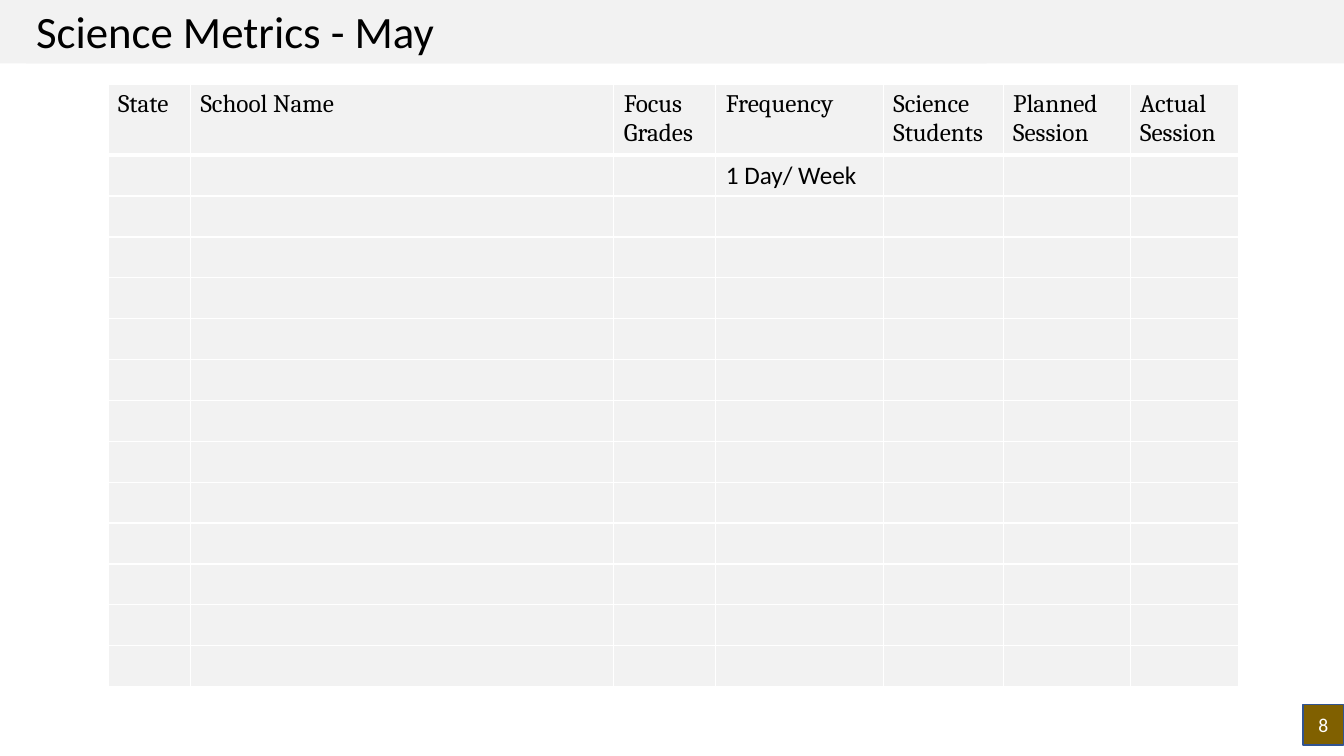
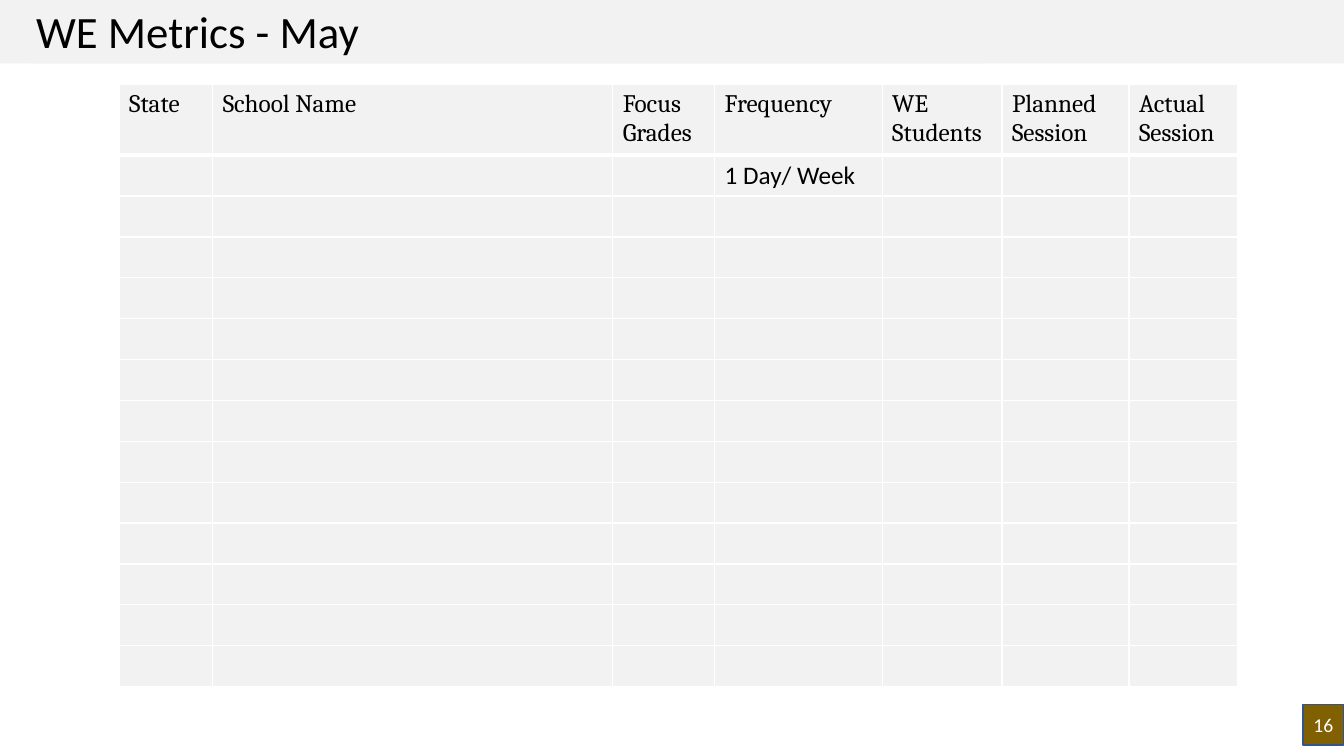
from lxml.etree import SubElement
from pptx import Presentation
from pptx.dml.color import RGBColor
from pptx.enum.shapes import MSO_SHAPE
from pptx.enum.text import MSO_ANCHOR as ANCHOR, MSO_AUTO_SIZE as AUTO, PP_ALIGN as ALIGN
from pptx.oxml.ns import qn
from pptx.util import Cm, Pt

# Shared look
GREY, WHITE, BLACK = "F2F2F2", "FFFFFF", "000000"
BROWN, NAVY = "806000", "325491"
BODY, HEAD = "Calibri", "Cambria"

# Shared table layout, in cm
STATE_TO_END = [2.57, 4.22, 3.02, 3.2, 2.74]  # columns after School Name
HEAD_H, ROW_H, BODY_ROWS = 1.78, 1.03, 13


def rgb(hex_color):
    return RGBColor.from_string(hex_color)


def write(tf, text, size=18, font=BODY, color=BLACK, align=ALIGN.LEFT):
    p = tf.paragraphs[0]
    p.alignment = align
    r = p.add_run()
    r.text = text
    r.font.size, r.font.name = Pt(size), font
    r.font.color.rgb = rgb(color)


def add_rect(shapes, x, y, w, h, fill, line=None):
    sp = shapes.add_shape(MSO_SHAPE.RECTANGLE, Cm(x), Cm(y), Cm(w), Cm(h))
    sp.shadow.inherit = False
    sp.fill.solid()
    sp.fill.fore_color.rgb = rgb(fill)
    if line:
        sp.line.color.rgb = rgb(line)
        sp.line.width = Pt(1)
    else:
        sp.line.fill.background()
    return sp


def add_title(s, text, x, y, w, h):
    shapes = s.shapes.add_group_shape().shapes
    add_rect(shapes, x, y, w, h, GREY)
    tf = add_rect(shapes, x + 1.12, y, 24.2, h, GREY).text_frame
    tf.word_wrap, tf.auto_size = True, AUTO.SHAPE_TO_FIT_TEXT
    tf.vertical_anchor = ANCHOR.TOP
    write(tf, text, size=32)


def add_page_number(s, number, x, y, side):
    tf = add_rect(s.shapes, x, y, side, side, BROWN, NAVY).text_frame
    tf.margin_left = tf.margin_right = 0
    tf.vertical_anchor = ANCHOR.MIDDLE
    write(tf, str(number), size=14, color=WHITE, align=ALIGN.CENTER)


def style_cell(cell, top, bottom):
    # Borders come before the fill in the cell properties
    tcPr = cell._tc.get_or_add_tcPr()
    for side, width in (("L", 1), ("R", 1), ("T", top), ("B", bottom)):
        ln = SubElement(tcPr, qn(f"a:ln{side}"), w=str(Pt(width)))
        SubElement(SubElement(ln, qn("a:solidFill")), qn("a:srgbClr"), val=WHITE)
    cell.fill.solid()
    cell.fill.fore_color.rgb = rgb(GREY)


def add_metrics_table(s, subject, state_w, x, y, w):
    heads = ["State", "School Name", "Focus Grades", "Frequency",
             f"{subject} Students", "Planned Session", "Actual Session"]
    school_w = w - state_w - sum(STATE_TO_END)
    widths = [state_w, school_w, *STATE_TO_END]
    heights = [HEAD_H] + [ROW_H] * BODY_ROWS
    table = s.shapes.add_table(len(heights), len(widths), Cm(x), Cm(y),
                               Cm(w), Cm(sum(heights))).table
    table.first_row = table.horz_banding = False
    for col, width in zip(table.columns, widths):
        col.width = Cm(width)
    for i, (row, height) in enumerate(zip(table.rows, heights)):
        row.height = Cm(height)
        for cell in row.cells:
            style_cell(cell, top=3 if i == 1 else 1, bottom=3 if i == 0 else 1)
    for cell, text in zip(table.rows[0].cells, heads):
        write(cell.text_frame, text, font=HEAD)
    write(table.cell(1, heads.index("Frequency")).text_frame, "1 Day/ Week")


def metrics_slide(prs, subject, number, state_w, table_x, table_w):
    s = prs.slides.add_slide(prs.slide_layouts[6])
    add_title(s, f"{subject} Metrics - May", -0.46, -0.03, 34.8, 1.63)
    add_metrics_table(s, subject, state_w, table_x, 2.13, table_w)
    add_page_number(s, number, 32.84, 17.75, 1.02)


def main():
    prs = Presentation()
    prs.slide_width, prs.slide_height = Cm(33.87), Cm(19.05)
    metrics_slide(prs, "Science", 8, state_w=2.08, table_x=2.72, table_w=28.5)
    metrics_slide(prs, "WE", 16, state_w=2.36, table_x=3, table_w=28.19)
    prs.save("out.pptx")


if __name__ == "__main__":
    main()
